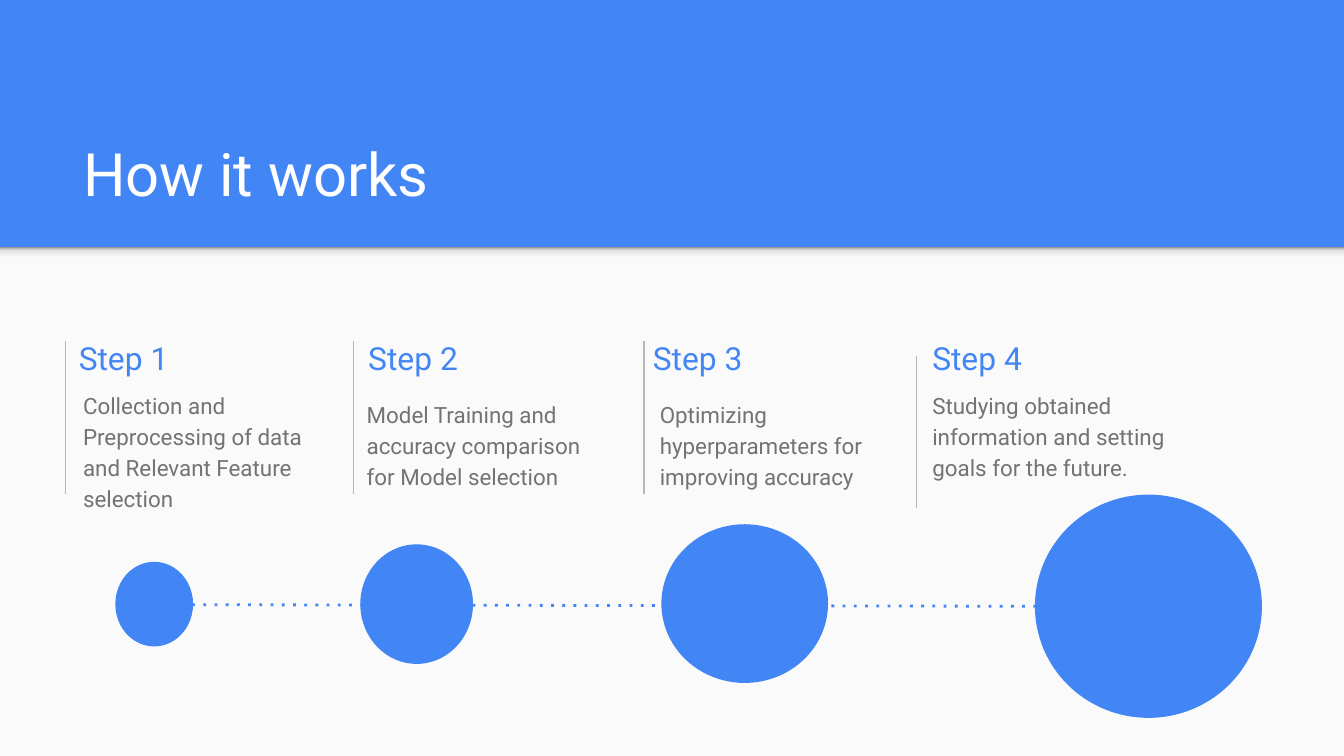
import pptx
import pptx.dml.color
import pptx.enum.dml
import pptx.enum.shapes
import pptx.enum.text
import pptx.oxml.ns
import pptx.util
from lxml import etree

Cm = pptx.util.Cm
Pt = pptx.util.Pt
qn = pptx.oxml.ns.qn
Shape = pptx.enum.shapes.MSO_SHAPE
Anchor = pptx.enum.text.MSO_ANCHOR

BLUE = "4285F4"
PALE = "FAFAFA"
RULE_GREY = "B7B7B7"
TEXT_GREY = "737373"


def color(hex_string):
    return pptx.dml.color.RGBColor.from_string(hex_string)


def add_text(text, left, top, width, height, size, text_color, anchor):
    box = slide.shapes.add_textbox(Cm(left), Cm(top), Cm(width), Cm(height))
    frame = box.text_frame
    frame.word_wrap = True
    frame.vertical_anchor = anchor
    frame.margin_top = frame.margin_bottom = Cm(0.25)
    frame.margin_left = frame.margin_right = Cm(0.25)
    para = frame.paragraphs[0]
    para.text = text
    para.font.name = "Roboto"
    para.font.size = Pt(size)
    para.font.color.rgb = color(text_color)
    return para


deck = pptx.Presentation()
deck.slide_width = Cm(25.4)
deck.slide_height = Cm(14.29)
slide = deck.slides.add_slide(deck.slide_layouts[6])
slide.background.fill.solid()
slide.background.fill.fore_color.rgb = color(BLUE)

# Pale panel under the blue header
panel = slide.shapes.add_shape(Shape.RECTANGLE, 0, Cm(4.67), Cm(25.4), Cm(9.62))
panel.shadow.inherit = False
panel.fill.solid()
panel.fill.fore_color.rgb = color(PALE)
panel.line.fill.background()

# Soft shade along the header's lower edge, running from bottom to top
shade = slide.shapes.add_shape(Shape.RECTANGLE, 0, Cm(4.67), Cm(25.4), Cm(0.3))
shade.shadow.inherit = False
shade.line.fill.background()
shade.fill.gradient()
shade.fill.gradient_angle = 90
stop_list = next(shade.element.iter(qn("a:gsLst")))
for old_stop in list(stop_list):
    stop_list.remove(old_stop)
for percent, shade_color in [(0, "F9F9F9"), (36, "F9F9F9"), (80, "DEDEDE"), (100, "999999")]:
    stop = etree.SubElement(stop_list, qn("a:gs"), pos=str(percent * 1000))
    etree.SubElement(stop, qn("a:srgbClr"), val=shade_color)

# Slide title
add_text("How it works", 1.32, 2.06, 22.83, 2.13, 32, "FFFFFF", Anchor.BOTTOM)

# Lines: a rule beside each step, and the dotted line through the circles
lines = [
    (1.24, 6.45, 1.24, 9.33, RULE_GREY, 0.75),
    (6.68, 6.45, 6.68, 9.33, RULE_GREY, 0.75),
    (12.17, 6.45, 12.17, 9.33, RULE_GREY, 0.75),
    (17.32, 6.73, 17.32, 9.61, RULE_GREY, 0.75),
    (3.63, 11.43, 19.56, 11.46, BLUE, 1.5),
]
for x1, y1, x2, y2, line_color, weight in lines:
    connector = slide.shapes.add_connector(
        pptx.enum.shapes.MSO_CONNECTOR.STRAIGHT, Cm(x1), Cm(y1), Cm(x2), Cm(y2))
    connector.line.color.rgb = color(line_color)
    connector.line.width = Pt(weight)
    if line_color == BLUE:
        connector.line.dash_style = pptx.enum.dml.MSO_LINE.ROUND_DOT
        next(connector.element.iter(qn("a:prstDash"))).set("val", "dot")
    etree.SubElement(connector.element.spPr, qn("a:effectLst"))

# Growing circles
circles = [
    (2.18, 10.62, 1.47, 1.6),
    (6.81, 10.29, 2.13, 2.26),
    (12.5, 9.91, 3.15, 3.0),
    (19.56, 9.35, 4.29, 4.22),
]
for left, top, width, height in circles:
    circle = slide.shapes.add_shape(Shape.OVAL, Cm(left), Cm(top), Cm(width), Cm(height))
    circle.shadow.inherit = False
    circle.fill.solid()
    circle.fill.fore_color.rgb = color(BLUE)
    circle.line.fill.background()

# Step headings and descriptions: heading left, body left, top and height, text
steps = [
    (1.24, 1.32, 7.09, 2.67, "Collection and Preprocessing of data and Relevant Feature selection"),
    (6.71, 6.68, 7.26, 2.67, "Model Training and accuracy comparison for Model selection"),
    (12.09, 12.22, 7.26, 2.36, "Optimizing hyperparameters for improving accuracy"),
    (17.37, 17.37, 7.09, 3.0, "Studying obtained information and setting goals for the future."),
]
for number, (heading_left, left, top, height, text) in enumerate(steps, 1):
    add_text(f"Step {number}", heading_left, 6.22, 5.03, 1.09, 17, BLUE, Anchor.MIDDLE)
    para = add_text(text, left, top, 5.03, height, 12, TEXT_GREY, Anchor.TOP)
    para.line_spacing = 1.15
    para.space_after = Pt(16)

deck.save("out.pptx")
